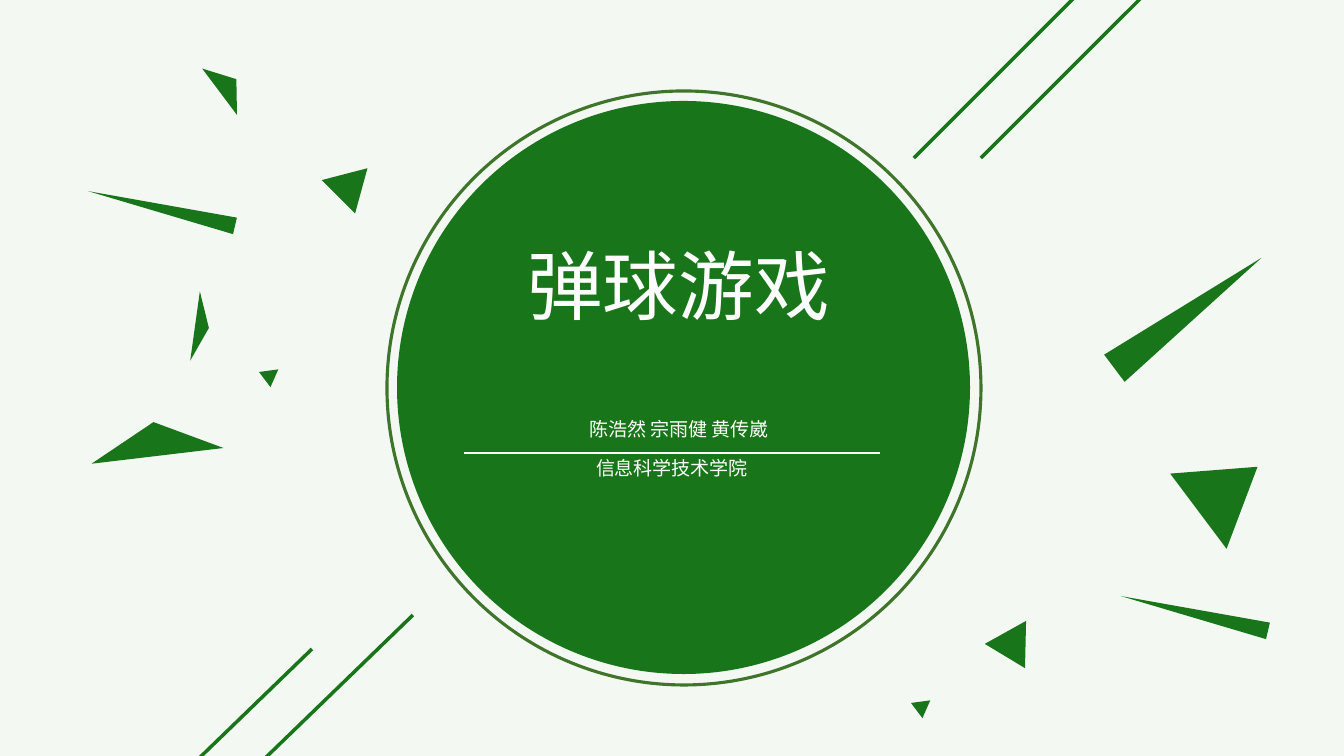
from lxml.etree import SubElement
from pptx import Presentation
from pptx.dml.color import RGBColor
from pptx.enum.shapes import MSO_CONNECTOR, MSO_SHAPE
from pptx.enum.text import MSO_ANCHOR, MSO_AUTO_SIZE, PP_ALIGN
from pptx.oxml.ns import qn
from pptx.util import Emu, Pt

GREEN, RING_GREEN, WHITE, PALE = "197519", "3E752A", "FFFFFF", "F3F8F3"
FONT = "Noto Sans CJK SC"

TITLE = ("弹球游戏", (471, 234, 415, 102))
AUTHORS = ("陈浩然 宗雨健 黄传崴", (452, 412, 454, 34))
SCHOOL = ("信息科学技术学院", (445, 451, 454, 34))

DISC = (397, 101, 573, 573)
RING = (387, 91, 594, 594)
DIVIDER = (464, 453, 880, 453)
STRIPES = [
    (1272, -133, 981, 158),
    (1158, -86, 914, 158),
    (413, 615, 130, 889),
    (312, 649, 64, 889),
]
SHARDS = [
    ((89, 422, 133, 34), 353.2),
    ((1181, 452, 94, 74), 53.1),
    ((262, 366, 19, 17), 53.1),
    ((153, 133, 17, 151), 283.3),
    ((318, 165, 47, 41), 285.3),
    ((167, 320, 70, 14), 97.9),
    ((992, 618, 47, 41), 31.1),
    ((199, 75, 58, 21), 53.1),
    ((1171, 221, 34, 184), 53.1),
    ((914, 697, 19, 17), 53.1),
    ((1186, 538, 17, 151), 283.3),
]


def px(length):
    return Emu(round(length * 914400 / 100.8))


def color(value):
    return RGBColor.from_string(value)


def add_figure(preset, box, fill=None, line=None, rotation=0):
    figure = slide.shapes.add_shape(preset, *map(px, box))
    figure.shadow.inherit = False
    figure.rotation = rotation
    if fill:
        figure.fill.solid()
        figure.fill.fore_color.rgb = color(fill)
    else:
        figure.fill.background()
    if line:
        figure.line.color.rgb = color(line)
        figure.line.width = Pt(2.25)
    else:
        figure.line.fill.background()


def add_line(ends, stroke, width):
    line = slide.shapes.add_connector(MSO_CONNECTOR.STRAIGHT, *map(px, ends))
    line.line.color.rgb = color(stroke)
    line.line.width = Pt(width)
    SubElement(line.element.spPr, qn("a:effectLst"))


def write(holder, text, box, size=13.6, fill=WHITE):
    holder.left, holder.top, holder.width, holder.height = map(px, box)
    holder.element.getparent().append(holder.element)
    frame = holder.text_frame
    frame.word_wrap = True
    frame.auto_size = MSO_AUTO_SIZE.NONE
    frame.vertical_anchor = MSO_ANCHOR.TOP
    frame.margin_left = frame.margin_right = px(10)
    frame.margin_top = frame.margin_bottom = px(5)
    paragraph = frame.paragraphs[0]
    paragraph.alignment = PP_ALIGN.CENTER
    paragraph.space_before = Pt(0)
    run = paragraph.add_run()
    run.text = text
    run.font.size = Pt(size)
    run.font.name = FONT
    run.font.color.rgb = color(fill)
    SubElement(run.font._element, qn("a:ea")).set("typeface", FONT)


deck = Presentation()
deck.slide_width, deck.slide_height = px(1344), px(756)
slide = deck.slides.add_slide(deck.slide_layouts[0])
slide.background.fill.solid()
slide.background.fill.fore_color.rgb = color(PALE)

add_figure(MSO_SHAPE.OVAL, DISC, fill=GREEN)
add_figure(MSO_SHAPE.OVAL, RING, line=RING_GREEN)
for shard, angle in SHARDS:
    add_figure(MSO_SHAPE.ISOSCELES_TRIANGLE, shard, fill=GREEN, rotation=angle)
for stripe in STRIPES:
    add_line(stripe, GREEN, 2.5)

write(slide.shapes.title, *TITLE, size=54)
write(slide.shapes.add_textbox(0, 0, 0, 0), *SCHOOL)
add_line(DIVIDER, WHITE, 1.5)
write(slide.placeholders[1], *AUTHORS)

deck.save("out.pptx")
